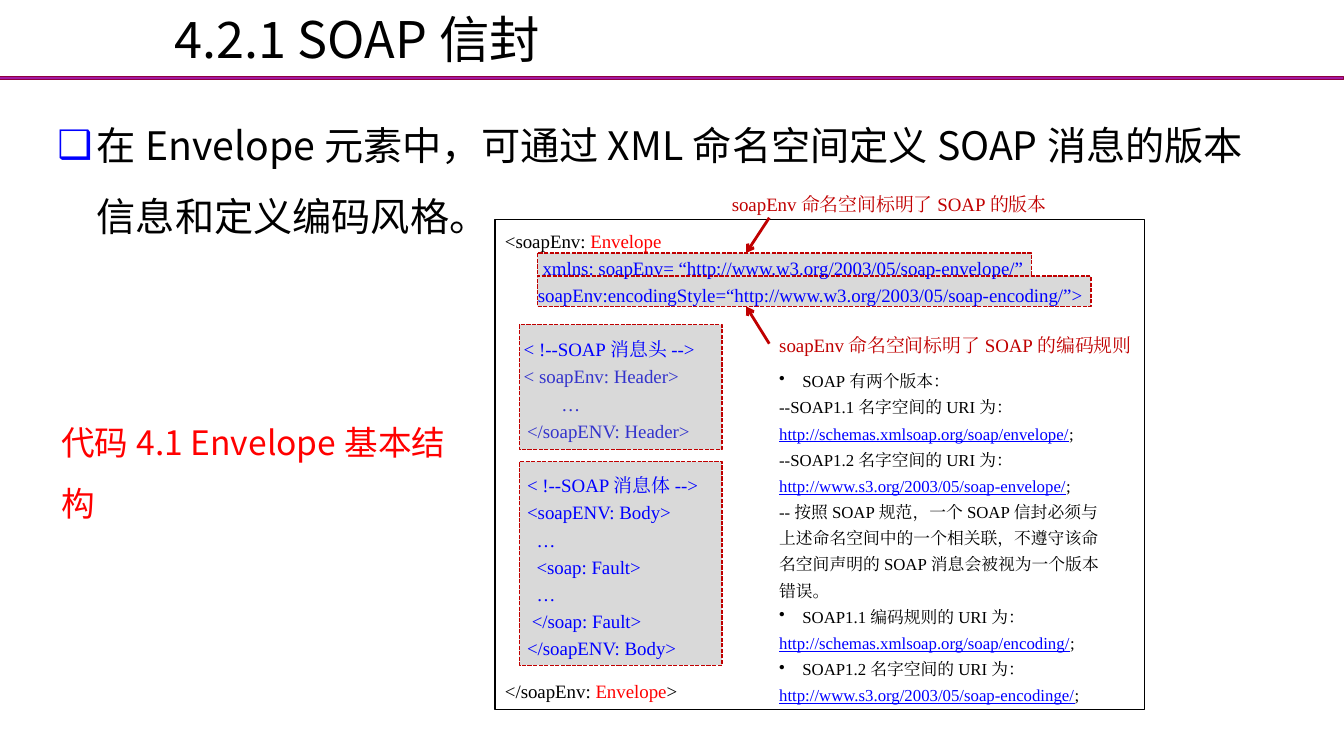
from lxml import etree
from pptx import Presentation, util as u
from pptx.dml.color import RGBColor
from pptx.enum import dml, shapes, text
from pptx.oxml.ns import qn

INK = {"black": "000000", "red": "FF0000", "blue": "0000FF", "link": "0000FF",
       "navy": "3333CC", "wine": "C00000", "grey": "D9D9D9",
       "rule": "990099", "edge": "8F0040"}
SANS, SERIF = "Noto Sans CJK SC", "Times New Roman"


def write(shape, paras, size, face=SERIF, lines=1.0, anchor="TOP"):
    """Fill a shape; each paragraph is (runs, format), each run (words, colour)."""
    frame = shape.text_frame
    frame.word_wrap = True
    frame.auto_size = text.MSO_AUTO_SIZE.NONE
    frame.vertical_anchor = getattr(text.MSO_ANCHOR, anchor)
    for i, (runs, form) in enumerate(paras):
        para = frame.add_paragraph() if i else frame.paragraphs[0]
        props = para._p.get_or_add_pPr()
        hang = form.get("hang", 0)
        props.set("marL", str(u.Inches(hang)))
        props.set("indent", str(u.Inches(form.get("first", -hang))))
        if "mark" in form:
            tint = etree.SubElement(props, qn("a:buClr"))
            etree.SubElement(tint, qn("a:srgbClr"), val=INK[form["tint"]])
            etree.SubElement(props, qn("a:buChar"), char=form["mark"])
        else:
            etree.SubElement(props, qn("a:buNone"))
        para.alignment = text.PP_ALIGN.LEFT
        para.line_spacing = lines
        para.space_before = u.Pt(form.get("before", 0))
        for words, ink in runs:
            run = para.add_run()
            run.text = words
            font = run.font
            font.size, font.name = u.Pt(size), face
            font.color.rgb = RGBColor.from_string(INK[ink])
            if ink == "link":
                font.underline = True
            etree.SubElement(run._r.get_or_add_rPr(), qn("a:ea"), typeface=face)


def block(spot, fill, line, width):
    box = slide.shapes.add_shape(shapes.MSO_SHAPE.RECTANGLE, *map(u.Inches, spot))
    box.shadow.inherit = False
    if fill:
        box.fill.solid()
        box.fill.fore_color.rgb = RGBColor.from_string(INK[fill])
    else:
        box.fill.background()
    box.line.color.rgb = RGBColor.from_string(INK[line])
    box.line.width = u.Pt(width)
    return box


deck = Presentation()
deck.slide_width, deck.slide_height = u.Inches(13.33), u.Inches(7.5)
slide = deck.slides.add_slide(deck.slide_layouts[1])

# Title, rule and main point
title, body = slide.placeholders
for holder, spot in ((title, (1.63, 0, 11.7, 0.76)), (body, (0.47, 0.92, 12.19, 5.98))):
    holder.left, holder.top, holder.width, holder.height = map(u.Inches, spot)
write(title, [([("4.2.1 SOAP信封", "black")], {})], 36, SANS, anchor="MIDDLE")
point = "在Envelope元素中，可通过XML命名空间定义SOAP消息的版本信息和定义编码风格。"
write(body, [([(point, "black")], {"hang": 0.39, "mark": "❑", "tint": "blue"})],
      28, SANS, 1.5)
rule = block((0, 0.76, 13.33, 0.03), "rule", "edge", 0)
tone = rule.fill._xPr.find(qn("a:solidFill"))[0]
etree.SubElement(tone, qn("a:alpha"), val="90000")

# Dashed panels behind the code
for spot in ((5.15, 3.22, 2.01, 1.24), (5.15, 4.58, 2.01, 2.02),
             (5.33, 2.51, 4.9, 0.24), (5.33, 2.74, 5.49, 0.3)):
    panel = block(spot, "grey", "wine", 1)
    panel.line.dash_style = dml.MSO_LINE.SQUARE_DOT

# Code listing
step = {"first": 0.22}
gap = 19.4
code = [
    ([("<soapEnv: ", "black"), ("Envelope", "red")], {}),
    ([("        xmlns: soapEnv= “http://www.w3.org/2003/05/soap-envelope/”", "blue")], {}),
    ([("       soapEnv:encodingStyle=“http://www.w3.org/2003/05/soap-encoding/”>", "blue")], {}),
    ([("    < !--SOAP消息头-->", "blue")], {"before": gap}),
    ([("    < soapEnv: Header>", "navy")], {}),
    ([("            …", "navy")], {}),
    ([("</soapENV: Header>", "navy")], step),
    ([("< !--SOAP消息体-->", "blue")], {"first": 0.22, "before": gap}),
]
for words in ("<soapENV: Body>", "  …", "  <soap: Fault>", "  …",
              " </soap: Fault>", "</soapENV: Body>"):
    code.append(([(words, "blue")], step))
code.append(([("</soapEnv: ", "black"), ("Envelope", "red"), (">", "black")],
             {"before": 10.8}))
write(block((4.91, 2.18, 6.44, 4.86), None, "black", 0.75), code, 13.5, lines=1.2)

# Notes on versions and encoding rules
notes = []
for words in ("• SOAP有两个版本：",
              "--SOAP1.1名字空间的URI为：",
              "http://schemas.xmlsoap.org/soap/envelope/",
              "--SOAP1.2名字空间的URI为：",
              "http://www.s3.org/2003/05/soap-envelope/",
              "--按照SOAP规范，一个SOAP信封必须与上述命名空间中的一个相关联，"
              "不遵守该命名空间声明的SOAP消息会被视为一个版本错误。",
              "• SOAP1.1编码规则的URI为：",
              "http://schemas.xmlsoap.org/soap/encoding/",
              "• SOAP1.2名字空间的URI为：",
              "http://www.s3.org/2003/05/soap-encodinge/"):
    if words.startswith("http"):
        notes.append(([(words, "link"), (";", "black")], {}))
    elif words.startswith("•"):
        notes.append(([(words[2:], "black")],
                      {"hang": 0.23, "mark": "•", "tint": "black"}))
    else:
        notes.append(([(words, "black")], {}))

# Labels, notes and caption
for spot, paras, size, face, lines in (
        ((7.16, 1.86, 3.43, 0.33),
         [([("soapEnv命名空间标明了SOAP的版本", "wine")], {})], 13.5, SERIF, 1),
        ((7.63, 3.26, 3.72, 0.33),
         [([("soapEnv命名空间标明了SOAP的编码规则", "wine")], {})], 13.5, SERIF, 1),
        ((7.63, 3.57, 3.44, 3.49), notes, 12, SERIF, 1.3),
        ((0.51, 3.94, 4.31, 0.64),
         [([("代码4.1 Envelope基本结构", "red")], {})], 24, SANS, 1.5)):
    write(slide.shapes.add_textbox(*map(u.Inches, spot)), paras, size, face, lines)

# Arrows from the labels to the namespaces
for ends in ((7.63, 2.16, 7.4, 2.51), (7.63, 3.41, 7.4, 3.04)):
    arrow = slide.shapes.add_connector(shapes.MSO_CONNECTOR.STRAIGHT, *map(u.Inches, ends))
    arrow.line.color.rgb = RGBColor.from_string(INK["wine"])
    arrow.line.width = u.Pt(2)
    etree.SubElement(arrow.line._get_or_add_ln(), qn("a:tailEnd"), type="arrow")
    etree.SubElement(arrow._element.spPr, qn("a:effectLst"))

deck.save("out.pptx")
